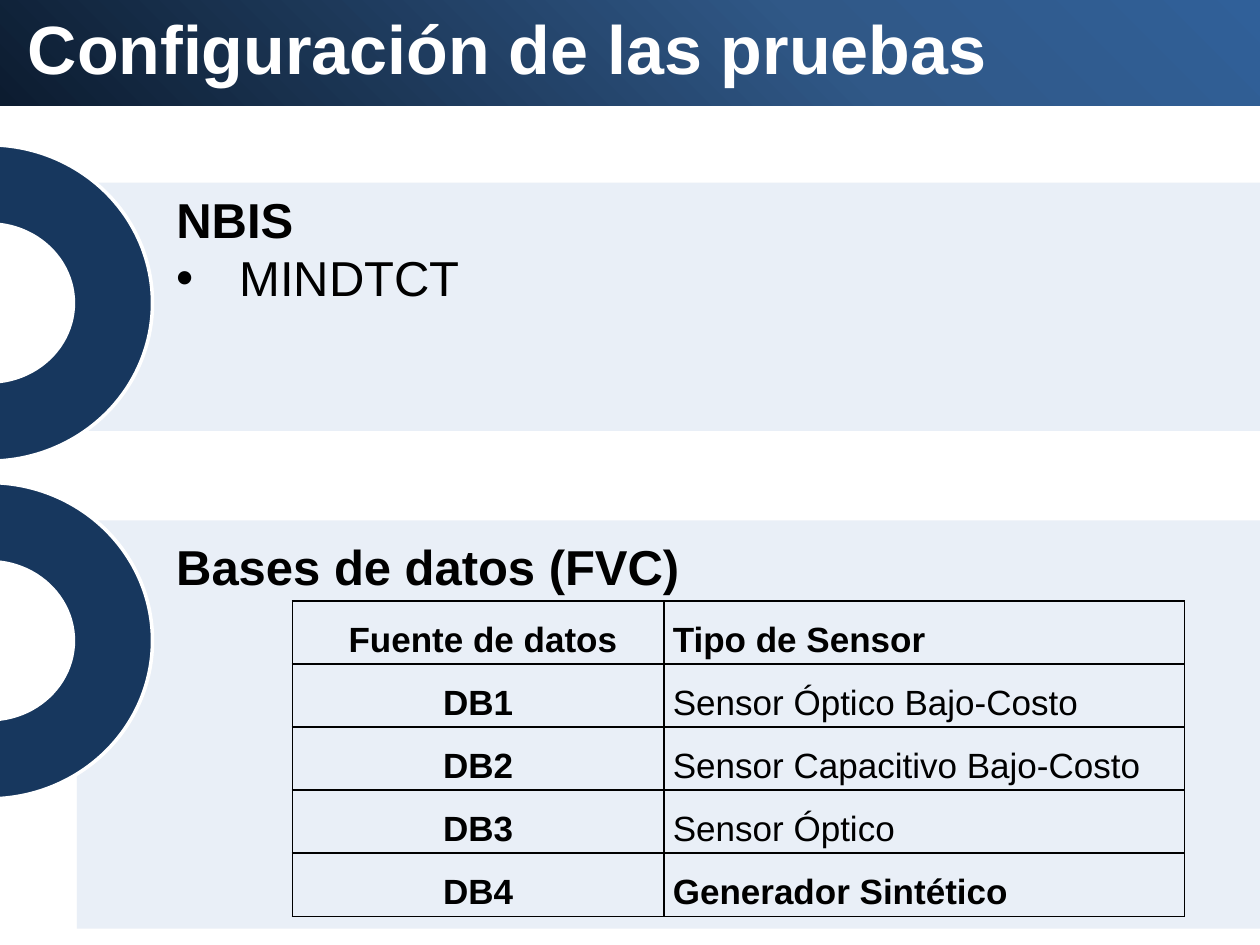
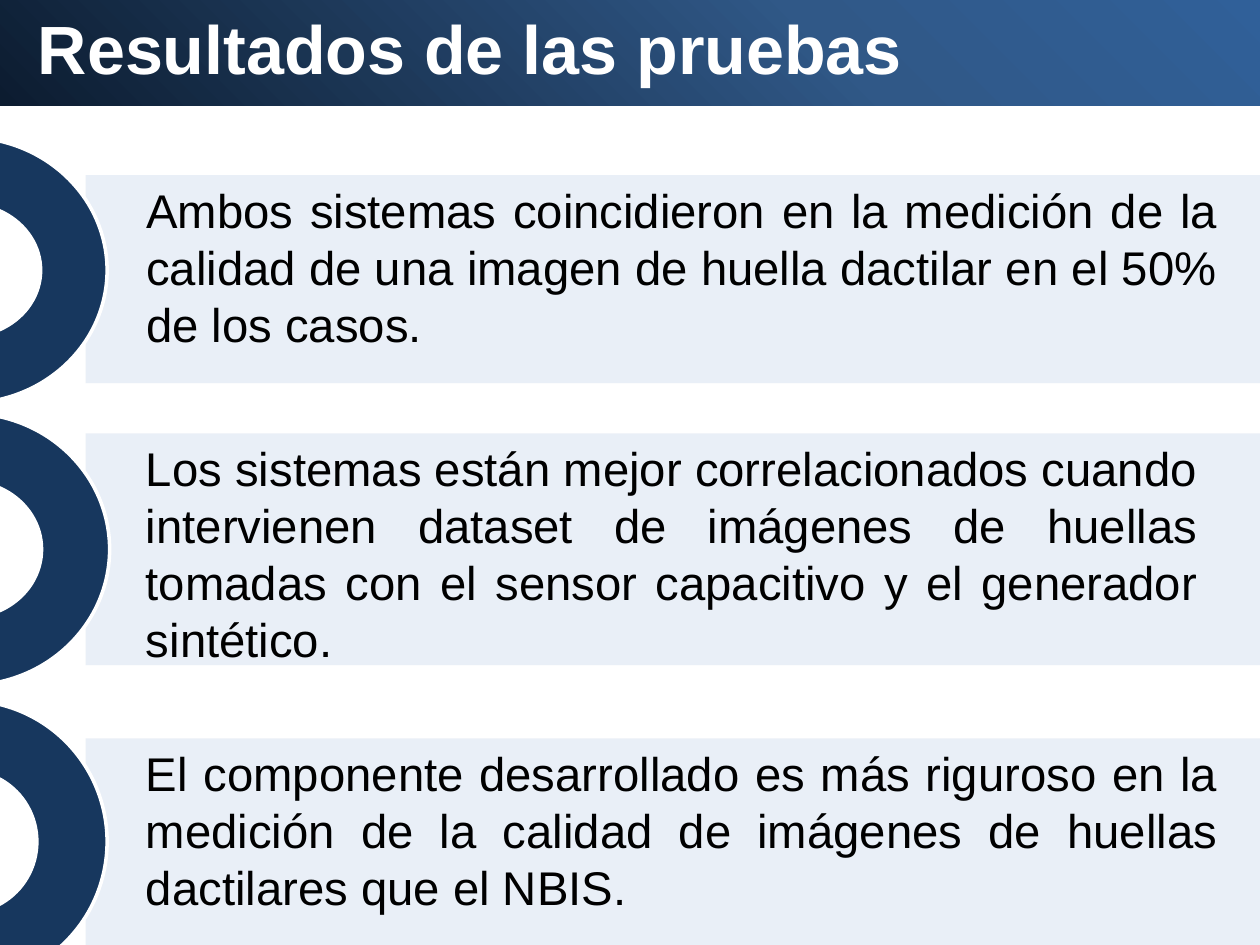
from dataclasses import dataclass
from typing import NamedTuple

from lxml.etree import SubElement
from pptx import Presentation
from pptx.dml.color import RGBColor
from pptx.enum.shapes import MSO_SHAPE
from pptx.enum.text import MSO_ANCHOR, MSO_AUTO_SIZE, PP_ALIGN
from pptx.oxml import parse_xml
from pptx.oxml.ns import nsdecls, qn
from pptx.util import Inches, Pt

COLUMNS, ROWS = 100, 75
SLIDE_WIDTH, SLIDE_HEIGHT = Inches(10), Inches(7.5)
RING_LEFT = -13.8


@dataclass(frozen=True)
class Theme:
    font: str = "Arial"
    ink: str = "000000"
    paper: str = "FFFFFF"
    panel: str = "DCE6F2"
    panel_opacity: int = 61
    ring: str = "17375E"
    band: tuple = ((0, "0C1C30"), (65, "305887"), (100, "306099"))
    title_size: int = 39
    section_size: int = 28
    finding_size: int = 27
    table_size: int = 20


THEME = Theme()


class Area(NamedTuple):
    """A place on the grid, in columns and rows."""
    left: float
    top: float
    width: float
    height: float

    def lengths(self) -> tuple:
        return (column(self.left), row(self.top), column(self.width), row(self.height))


class Line(NamedTuple):
    text: str
    bold: bool = False
    bullet: bool = False


@dataclass(frozen=True)
class Section:
    """A pale panel with a ring at its left and text on top."""
    panel: Area
    ring_top: float
    ring_size: tuple
    text: Area
    lines: tuple

    @property
    def ring(self) -> Area:
        return Area(RING_LEFT, self.ring_top, *self.ring_size)


def column(count: float) -> int:
    return round(SLIDE_WIDTH * count / COLUMNS)


def row(count: float) -> int:
    return round(SLIDE_HEIGHT * count / ROWS)


def style(paragraph, size: int, color: str, bold: bool, align) -> None:
    paragraph.alignment = align
    paragraph.space_before = Pt(0)
    font = paragraph.font
    font.name, font.size, font.bold = THEME.font, Pt(size), bold
    font.color.rgb = RGBColor.from_string(color)


def set_bullet(paragraph, bullet: bool) -> None:
    properties = paragraph._p.get_or_add_pPr()
    indent = column(5) if bullet else 0
    properties.set("marL", str(indent))
    properties.set("indent", str(-indent))
    if bullet:
        SubElement(properties, qn("a:buChar")).set("char", "•")
    else:
        SubElement(properties, qn("a:buNone"))


def place(holder, area: Area):
    """Move a text shape to its area, in front of what is drawn so far."""
    holder.left, holder.top, holder.width, holder.height = area.lengths()
    tree = holder._element.getparent()
    tree.append(holder._element)
    frame = holder.text_frame
    frame.word_wrap = True
    frame.auto_size = MSO_AUTO_SIZE.SHAPE_TO_FIT_TEXT
    frame.vertical_anchor = MSO_ANCHOR.TOP
    return frame


def add_shape(slide, kind, area: Area, color: str):
    shape = slide.shapes.add_shape(kind, *area.lengths())
    shape.shadow.inherit = False
    shape.fill.solid()
    shape.fill.fore_color.rgb = RGBColor.from_string(color)
    shape.line.fill.background()
    return shape


def add_panel(slide, area: Area) -> None:
    panel = add_shape(slide, MSO_SHAPE.RECTANGLE, area, THEME.panel)
    color = panel._element.spPr.find(qn("a:solidFill")).find(qn("a:srgbClr"))
    SubElement(color, qn("a:alpha")).set("val", str(THEME.panel_opacity * 1000))


def add_ring(slide, area: Area) -> None:
    ring = add_shape(slide, MSO_SHAPE.DONUT, area, THEME.ring)
    ring.line.color.rgb = RGBColor.from_string(THEME.paper)
    ring.line.width = Pt(2)


def add_title(slide, text: str, area: Area) -> None:
    """Draw the gradient band, glowing from its lower left, and the title on it."""
    band = add_shape(slide, MSO_SHAPE.RECTANGLE, Area(0, -0.8, COLUMNS, 9.2), THEME.ring)
    stops = "".join(
        f'<a:gs pos="{share * 1000}"><a:srgbClr val="{color}"/></a:gs>'
        for share, color in THEME.band
    )
    gradient = parse_xml(
        f'<a:gradFill {nsdecls("a")} rotWithShape="1"><a:gsLst>{stops}</a:gsLst>'
        '<a:path path="circle"><a:fillToRect t="100000" r="100000"/></a:path></a:gradFill>'
    )
    properties = band._element.spPr
    properties.replace(properties.find(qn("a:solidFill")), gradient)
    frame = place(slide.shapes.title, area)
    frame.text = text
    style(frame.paragraphs[0], THEME.title_size, THEME.paper, True, PP_ALIGN.LEFT)


def write_lines(frame, lines: tuple, size: int) -> None:
    frame.text = "\n".join(line.text for line in lines)
    for paragraph, line in zip(frame.paragraphs, lines):
        set_bullet(paragraph, line.bullet)
        style(paragraph, size, THEME.ink, line.bold, PP_ALIGN.JUSTIFY)


def add_section_slide(deck, title: str, title_area: Area, sections: tuple, size: int):
    slide = deck.slides.add_slide(deck.slide_layouts[1])
    for section in sections:
        add_panel(slide, section.panel)
    for section in sections:
        add_ring(slide, section.ring)
    add_title(slide, title, title_area)
    body = slide.placeholders[1]
    for number, section in enumerate(sections):
        holder = slide.shapes.add_textbox(*section.text.lengths()) if number else body
        write_lines(place(holder, section.text), section.lines, size)
    return slide


def add_borders(cell) -> None:
    properties = cell._tc.get_or_add_tcPr()
    for position, side in enumerate(("lnL", "lnR", "lnT", "lnB")):
        properties.insert(position, parse_xml(
            f'<a:{side} {nsdecls("a")} w="{Pt(1)}"><a:solidFill>'
            f'<a:srgbClr val="{THEME.ink}"/></a:solidFill></a:{side}>'
        ))


def add_sensor_table(slide, records: tuple, area: Area, widths: tuple) -> None:
    table = slide.shapes.add_table(len(records), len(widths), *area.lengths()).table
    table.first_row = table.horz_banding = False
    for table_column, width in zip(table.columns, widths):
        table_column.width = column(width)
    for r, record in enumerate(records):
        for c, line in enumerate(record):
            cell = table.cell(r, c)
            cell.margin_left = cell.margin_right = column(0.7)
            cell.margin_top = cell.margin_bottom = 0
            cell.fill.background()
            add_borders(cell)
            cell.text = line.text
            paragraph = cell.text_frame.paragraphs[0]
            paragraph.line_spacing = 1.5
            style(paragraph, THEME.table_size, THEME.ink, line.bold,
                  PP_ALIGN.JUSTIFY if c else PP_ALIGN.CENTER)


SETUP = (
    Section(Area(6.8, 14.5, 101.4, 19.7), 11.5, (25.9, 25.1), Area(13, 14.5, 85.1, 10.4),
            (Line("NBIS", bold=True), Line("MINDTCT", bullet=True))),
    Section(Area(6.1, 41.3, 101.4, 32.4), 38.3, (25.9, 25.1), Area(13, 42.1, 85.1, 10.4),
            (Line("Bases de datos (FVC)", bold=True),)),
)
SENSORS = (
    (Line(" Fuente de datos", True), Line("Tipo de Sensor", True)),
    (Line("DB1", True), Line("Sensor Óptico Bajo-Costo")),
    (Line("DB2", True), Line("Sensor Capacitivo Bajo-Costo")),
    (Line("DB3", True), Line("Sensor Óptico")),
    (Line("DB4", True), Line("Generador Sintético", True)),
)
FINDINGS = (
    Section(Area(6.8, 13.9, 96.7, 16.5), 10.9, (22.3, 21.1), Area(10.6, 13.9, 87, 15.1),
            (Line("Ambos sistemas coincidieron en la medición de la calidad de una imagen "
                  "de huella dactilar en el 50% de los casos."),)),
    Section(Area(6.8, 34.4, 96.7, 18.4), 32.8, (22.5, 21.6), Area(10.6, 34.4, 85.4, 19.4),
            (Line("Los sistemas están mejor correlacionados cuando intervienen dataset de "
                  "imágenes de huellas tomadas con el sensor capacitivo y el generador "
                  "sintético."),)),
    Section(Area(6.8, 58.6, 96.7, 17.5), 55.6, (22.3, 22.4), Area(10.6, 58.6, 87, 14.6),
            (Line("El componente desarrollado es más riguroso en la medición de la calidad "
                  "de imágenes de huellas dactilares que el NBIS."),)),
)


def main() -> None:
    deck = Presentation()
    deck.slide_width, deck.slide_height = SLIDE_WIDTH, SLIDE_HEIGHT
    setup = add_section_slide(deck, "Configuración de las pruebas", Area(1.2, 0, 78.7, 7.6),
                              SETUP, THEME.section_size)
    add_sensor_table(setup, SENSORS, Area(23.2, 47.7, 70.8, 25), (29.5, 41.3))
    add_section_slide(deck, "Resultados de las pruebas", Area(2, 0, 72.4, 7.6),
                      FINDINGS, THEME.finding_size)
    deck.save("out.pptx")


if __name__ == "__main__":
    main()
